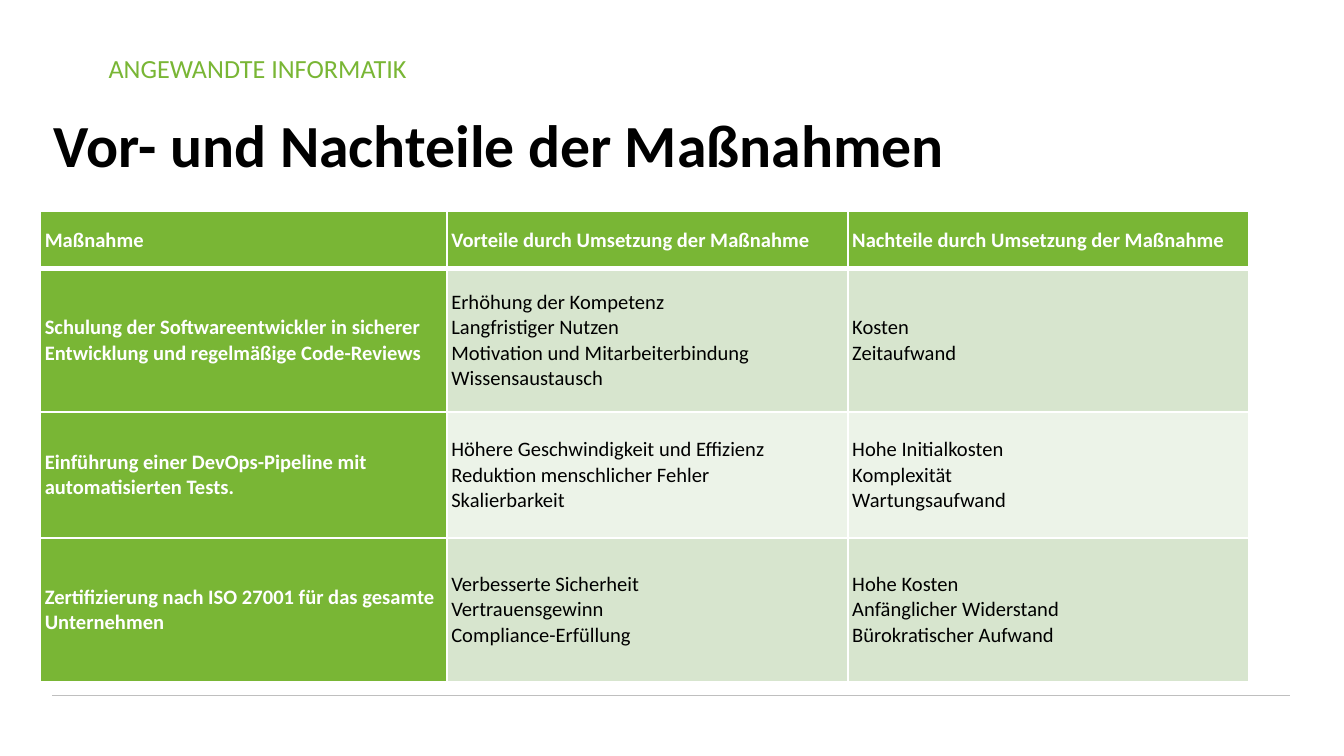
import dataclasses

import lxml.etree
import pptx
import pptx.dml.color
import pptx.enum.shapes
import pptx.enum.text
import pptx.oxml.ns
import pptx.util

Pt = pptx.util.Pt
qn = pptx.oxml.ns.qn


@dataclasses.dataclass(frozen=True)
class Theme:
    font: str = "Calibri"
    green: str = "79B635"
    band_dark: str = "D7E5CE"
    band_light: str = "ECF3E8"
    white: str = "FFFFFF"
    black: str = "000000"
    rule: str = "BFBFBF"
    label_size: int = 14
    title_size: int = 32
    table_size: int = 11
    thin_border: int = 1
    header_border: int = 3


def rgb(value):
    return pptx.dml.color.RGBColor.from_string(value)


class SlideBuilder:
    def __init__(self, slide, theme):
        self.slide = slide
        self.theme = theme

    def fill_text(self, frame, lines, size, color, bold=False):
        frame.word_wrap = True
        for index, line in enumerate(lines):
            paragraph = frame.paragraphs[0] if index == 0 else frame.add_paragraph()
            paragraph.text = line
            paragraph.alignment = pptx.enum.text.PP_ALIGN.LEFT
            paragraph.font.name = self.theme.font
            paragraph.font.size = Pt(size)
            paragraph.font.bold = bold
            paragraph.font.color.rgb = rgb(color)

    def label(self, text, left, top, width, height):
        box = self.slide.shapes.add_textbox(Pt(left), Pt(top), Pt(width), Pt(height))
        self.fill_text(box.text_frame, [text], self.theme.label_size, self.theme.green)

    def title(self, text, left, top, width, height):
        title = self.slide.shapes.title
        title.left, title.top = Pt(left), Pt(top)
        title.width, title.height = Pt(width), Pt(height)
        title.text_frame.vertical_anchor = pptx.enum.text.MSO_ANCHOR.BOTTOM
        self.fill_text(title.text_frame, [text], self.theme.title_size, self.theme.black, bold=True)

    def rule(self, left, right, top):
        line = self.slide.shapes.add_connector(
            pptx.enum.shapes.MSO_CONNECTOR.STRAIGHT, Pt(left), Pt(top), Pt(right), Pt(top))
        line.line.color.rgb = rgb(self.theme.rule)
        line.line.width = Pt(0.5)
        lxml.etree.SubElement(line._element.spPr, qn("a:effectLst"))

    def borders(self, cell, widths):
        """Draw white borders; widths are left, right, top, bottom."""
        properties = cell._tc.get_or_add_tcPr()
        for index, (side, width) in enumerate(zip("LRTB", widths)):
            border = lxml.etree.Element(qn(f"a:ln{side}"), w=str(int(Pt(width))))
            fill = lxml.etree.SubElement(border, qn("a:solidFill"))
            lxml.etree.SubElement(fill, qn("a:srgbClr"), val=self.theme.white)
            properties.insert(index, border)

    def cell(self, cell, lines, row, column):
        theme = self.theme
        heading = row == 0 or column == 0
        band = theme.band_dark if row % 2 else theme.band_light
        cell.margin_left = cell.margin_right = Pt(2.2)
        cell.margin_top = cell.margin_bottom = 0
        cell.vertical_anchor = pptx.enum.text.MSO_ANCHOR.MIDDLE
        cell.fill.solid()
        cell.fill.fore_color.rgb = rgb(theme.green if heading else band)
        self.fill_text(cell.text_frame, lines, theme.table_size,
                       theme.white if heading else theme.black, bold=heading)
        thin, thick = theme.thin_border, theme.header_border
        self.borders(cell, (thin, thin, thick if row == 1 else thin, thick if row == 0 else thin))

    def table(self, rows, left, top, column_widths, row_heights):
        frame = self.slide.shapes.add_table(
            len(rows), len(column_widths), Pt(left), Pt(top),
            Pt(sum(column_widths)), Pt(sum(row_heights)))
        table = frame.table
        for column, width in zip(table.columns, column_widths):
            column.width = Pt(width)
        for row, height in zip(table.rows, row_heights):
            row.height = Pt(height)
        for row_index, row in enumerate(rows):
            for column_index, lines in enumerate(row):
                self.cell(table.cell(row_index, column_index), lines, row_index, column_index)


MEASURES = [
    [["Maßnahme"],
     ["Vorteile durch Umsetzung der Maßnahme"],
     ["Nachteile durch Umsetzung der Maßnahme"]],
    [["Schulung der Softwareentwickler in sicherer Entwicklung und regelmäßige Code-Reviews"],
     ["Erhöhung der Kompetenz", "Langfristiger Nutzen",
      "Motivation und Mitarbeiterbindung", "Wissensaustausch"],
     ["Kosten", "Zeitaufwand"]],
    [["Einführung einer DevOps-Pipeline mit automatisierten Tests."],
     ["Höhere Geschwindigkeit und Effizienz", "Reduktion menschlicher Fehler", "Skalierbarkeit"],
     ["Hohe Initialkosten", "Komplexität", "Wartungsaufwand"]],
    [["Zertifizierung nach ISO 27001 für das gesamte Unternehmen"],
     ["Verbesserte Sicherheit", "Vertrauensgewinn", "Compliance-Erfüllung"],
     ["Hohe Kosten", "Anfänglicher Widerstand", "Bürokratischer Aufwand"]],
]


def main():
    presentation = pptx.Presentation()
    presentation.slide_width, presentation.slide_height = Pt(720), Pt(405)
    title_only = presentation.slide_layouts[5]
    builder = SlideBuilder(presentation.slides.add_slide(title_only), Theme())
    builder.label("ANGEWANDTE INFORMATIK", 51.1, 24.5, 200, 24.5)
    builder.rule(28, 691, 372.7)
    builder.title("Vor- und Nachteile der Maßnahmen", 21.6, 51.8, 677.5, 48.2)
    builder.table(MEASURES, 21.8, 113.2, [217.8, 214.8, 214.8], [30.8, 76.8, 67.6, 76.8])
    presentation.save("out.pptx")


if __name__ == "__main__":
    main()
